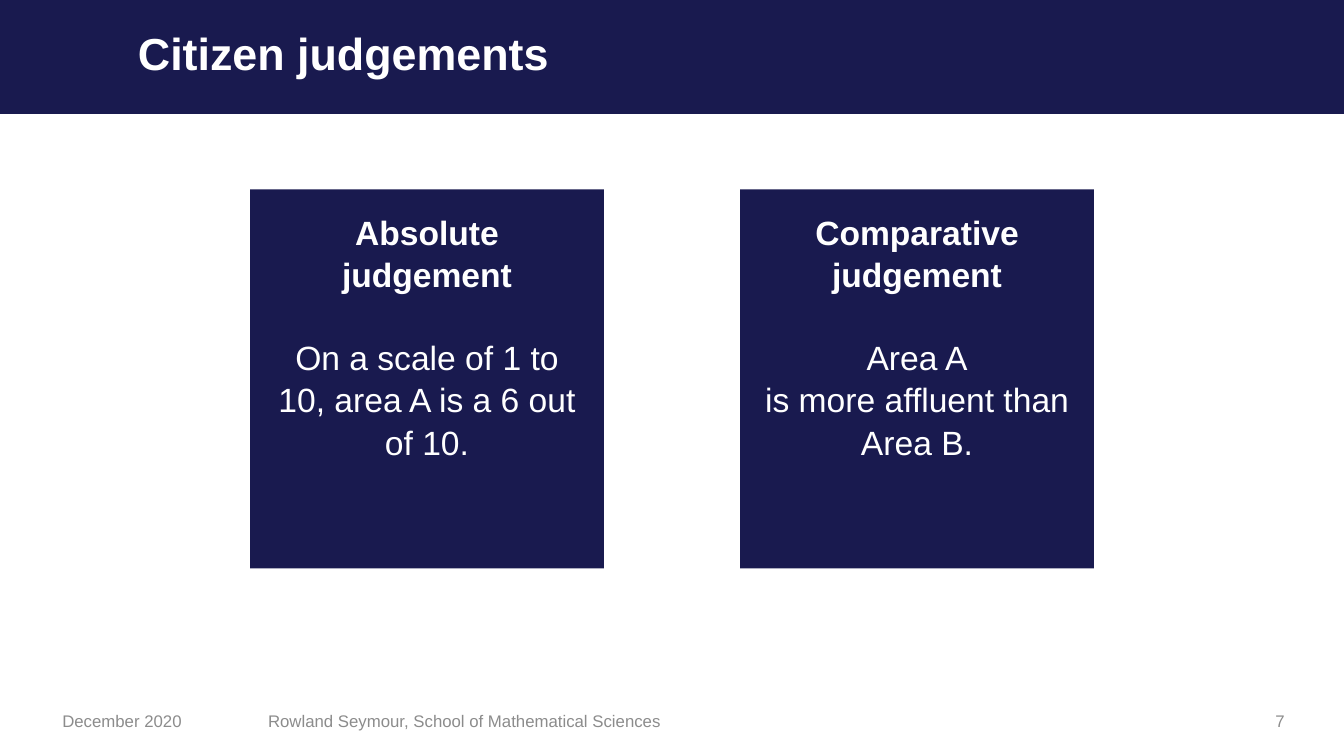
"""Build the slide that contrasts absolute and comparative judgements."""
from dataclasses import dataclass

from pptx import Presentation
from pptx.dml.color import RGBColor
from pptx.enum import shapes, text
from pptx.util import Inches, Pt


@dataclass(frozen=True)
class Theme:
    """Colours, font and type sizes of the slide."""
    navy: RGBColor = RGBColor(0x19, 0x1A, 0x4F)
    white: RGBColor = RGBColor(0xFF, 0xFF, 0xFF)
    grey: RGBColor = RGBColor(0x8C, 0x8C, 0x8C)
    font: str = "Arial"
    title: Pt = Pt(32)
    body: Pt = Pt(24)
    footer: Pt = Pt(12)


THEME = Theme()
LEFT, CENTER, RIGHT = (text.PP_ALIGN.LEFT, text.PP_ALIGN.CENTER,
                       text.PP_ALIGN.RIGHT)
CARD_LEFT, CARD_PITCH = 2.48, 4.86
CARDS = [
    ("Absolute judgement",
     ["On a scale of 1 to 10, area A is a 6 out of 10."]),
    ("Comparative judgement",
     ["Area A", "is more affluent than", "Area B."]),
]
FOOTERS = [
    ("December 2020", 0.52, 1.76, LEFT),
    ("Rowland Seymour, School of Mathematical Sciences", 2.56, 4.78, LEFT),
    ("7", 9.66, 3.18, RIGHT),
]


def style(p, size, color, bold=False, align=LEFT):
    """Set the font and alignment of a paragraph."""
    p.alignment = align
    p.font.name = THEME.font
    p.font.size = size
    p.font.bold = bold
    p.font.color.rgb = color


def add_block(slide, left, top, width, height):
    """Add a plain navy rectangle."""
    sp = slide.shapes.add_shape(shapes.MSO_SHAPE.RECTANGLE, Inches(left),
                                Inches(top), Inches(width), Inches(height))
    sp.shadow.inherit = False
    sp.fill.solid()
    sp.fill.fore_color.rgb = THEME.navy
    sp.line.fill.background()
    return sp


def add_label(slide, words, left, top, width, height, size, color, **look):
    """Add a one-line text box centred vertically."""
    sp = slide.shapes.add_textbox(Inches(left), Inches(top),
                                  Inches(width), Inches(height))
    tf = sp.text_frame
    tf.word_wrap = True
    tf.vertical_anchor = text.MSO_ANCHOR.MIDDLE
    p = tf.paragraphs[0]
    p.text = words
    style(p, size, color, **look)
    return p


def add_card(slide, left, heading, lines):
    """Add a card with a bold heading above its example."""
    tf = add_block(slide, left, 1.88, 3.51, 3.76).text_frame
    tf.word_wrap = True
    tf.vertical_anchor = text.MSO_ANCHOR.TOP
    tf.margin_left = tf.margin_right = Inches(0.24)
    tf.margin_top = tf.margin_bottom = Inches(0.2)
    for i, words in enumerate([heading, *lines]):
        p = tf.add_paragraph() if i else tf.paragraphs[0]
        p.text = words
        p.line_spacing = 1.05
        style(p, THEME.body, THEME.white, bold=i == 0, align=CENTER)
    tf.paragraphs[1].space_before = Pt(29)


def main():
    """Build and save the slide."""
    prs = Presentation()
    prs.slide_width, prs.slide_height = Inches(13.33), Inches(7.5)
    slide = prs.slides.add_slide(prs.slide_layouts[6])
    add_block(slide, 0, 0, 13.33, 1.13)
    title = add_label(slide, "Citizen judgements", 1.27, -0.01, 11.57, 1.13,
                      THEME.title, THEME.white, bold=True)
    title.line_spacing = 0.9
    for i, (heading, lines) in enumerate(CARDS):
        add_card(slide, CARD_LEFT + i * CARD_PITCH, heading, lines)
    for words, left, width, align in FOOTERS:
        add_label(slide, words, left, 6.95, width, 0.4,
                  THEME.footer, THEME.grey, align=align)
    prs.save("out.pptx")


if __name__ == "__main__":
    main()
